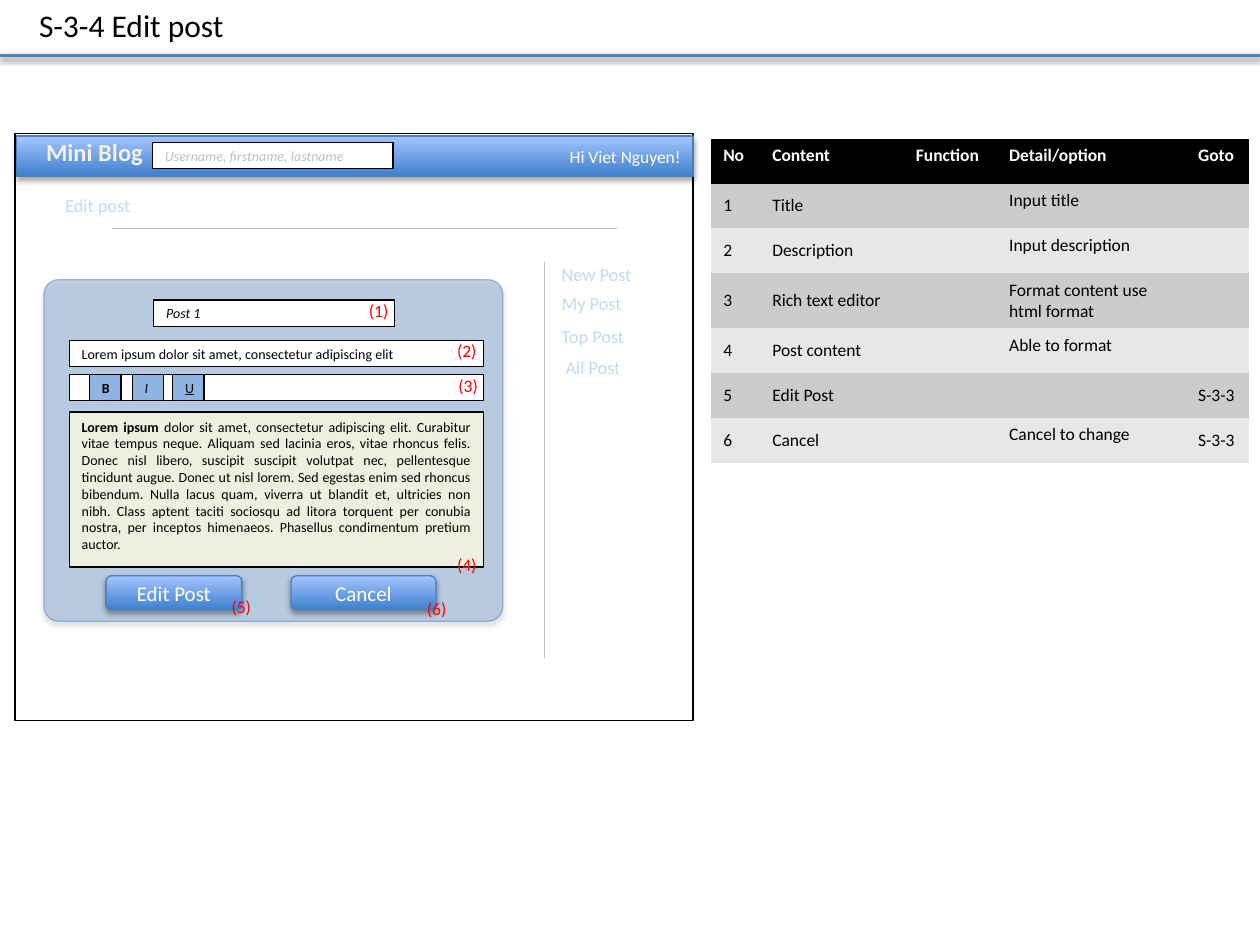
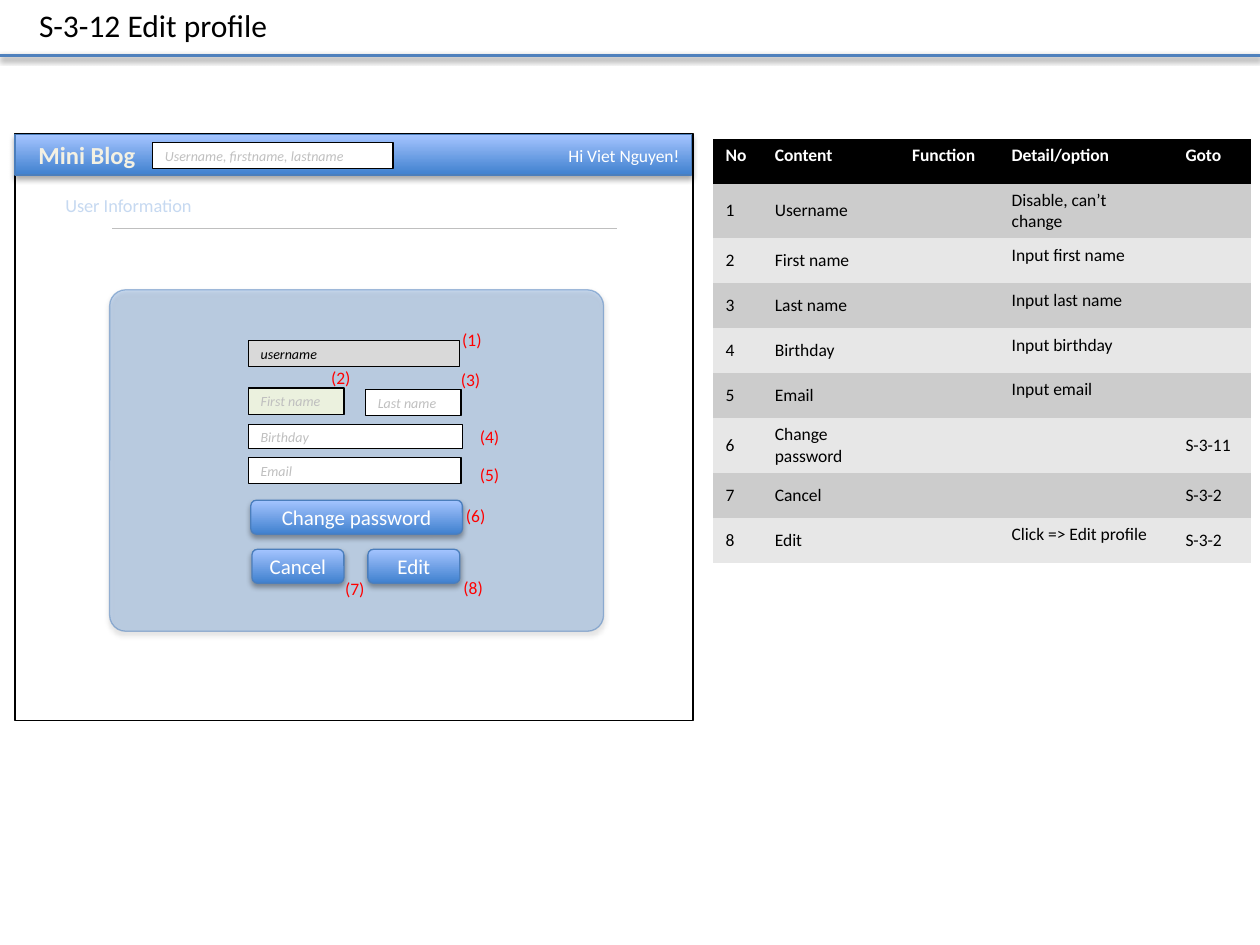
from lxml.etree import SubElement
from pptx import Presentation
from pptx.dml.color import RGBColor
from pptx.enum.shapes import MSO_CONNECTOR, MSO_SHAPE
from pptx.enum.text import MSO_ANCHOR, MSO_AUTO_SIZE, PP_ALIGN
from pptx.oxml import parse_xml
from pptx.oxml.ns import nsdecls, qn
from pptx.util import Inches, Pt

FONT = "Calibri"
COLORS = {
    "black": "000000", "white": "FFFFFF", "rule": "4F81BD", "edge": "4B7EBC",
    "deep": "3F80CE", "light": "A4C4FF", "panel": "558ED5", "hint": "BFBFBF",
    "heading": "C6D9F1", "mark": "FF0000", "brand": "F4F1E3", "outline": "054697",
    "tool": "8EB4E3", "cream": "EBF1DE", "disabled": "D9D9D9",
    "odd": "CCCCCC", "even": "E7E7E7",
}
HEADER = ("No", "Content", "Function", "Detail/option", "Goto")
ROW_HEIGHT = 0.357
SEARCH = ("Username, firstname, lastname", (1.21, 1.13, 1.91, 0.21), "white", "hint", "i")
LOREM = (
    " dolor sit amet, consectetur adipiscing elit. Curabitur vitae tempus neque. "
    "Aliquam sed lacinia eros, vitae rhoncus felis. Donec nisl libero, suscipit suscipit "
    "volutpat nec, pellentesque tincidunt augue. Donec ut nisl lorem. Sed egestas enim sed "
    "rhoncus bibendum. Nulla lacus quam, viverra ut blandit et, ultricies non nibh. Class "
    "aptent taciti sociosqu ad litora torquent per conubia nostra, per inceptos himenaeos. "
    "Phasellus condimentum pretium auctor."
)
POST_BODY = (("Lorem ipsum", "b"), (LOREM, ""))

SCREENS = [
    {
        "title": "S-3-4 Edit post", "title_width": 1.69,
        "heading": "Edit post", "heading_width": 0.73,
        "bar": (0.13, 1.08), "brand": (0.26, 1.04),
        "panel": (0.35, 2.22, 3.64, 2.71), "corner": 0.043,
        "fields": [
            ("Post 1", (1.22, 2.38, 1.91, 0.21), "white", "black", "i"),
            ("Lorem ipsum dolor sit amet, consectetur adipiscing elit",
             (0.55, 2.7, 3.29, 0.21), "white", "black", ""),
            ("", (0.55, 2.97, 3.29, 0.21), "white", "black", ""),
            ("B", (0.71, 2.97, 0.25, 0.21), "tool", "black", "b"),
            ("I", (1.05, 2.97, 0.25, 0.21), "tool", "black", "i"),
            ("U", (1.37, 2.97, 0.25, 0.21), "tool", "black", "u"),
        ],
        "post": (0.55, 3.27, 3.29, 1.23),
        "buttons": [("Cancel", (2.31, 4.57, 1.15)), ("Edit Post", (0.84, 4.57, 1.08))],
        "marks": [(2.83, 2.33), (3.53, 2.65), (3.54, 2.93),
                  (3.53, 4.35), (1.74, 4.68), (3.29, 4.7)],
        "menu": [("New Post", 4.36, 2.04, 0.77), ("My Post", 4.36, 2.27, 0.69),
                 ("Top Post", 4.36, 2.53, 0.72), ("All Post", 4.39, 2.78, 0.65)],
        "table_left": 5.64, "columns": (0.39, 1.14, 0.74, 1.5, 0.5),
        "rows": [
            ("Title", "Input title", ""),
            ("Description", "Input description", ""),
            ("Rich text editor", "Format content use html format", ""),
            ("Post content", "Able to format", ""),
            ("Edit Post", "", "S-3-3"),
            ("Cancel", "Cancel to change", "S-3-3"),
        ],
    },
    {
        "title": "S-3-12 Edit profile", "title_width": 2.03,
        "heading": "User Information", "heading_width": 1.22,
        "bar": (0.12, 1.07), "brand": (0.2, 1.06),
        "panel": (0.87, 2.3, 3.92, 2.71), "corner": 0.047,
        "fields": [
            ("username", (1.97, 2.7, 1.68, 0.21), "disabled", "black", "i"),
            ("First name", (1.97, 3.08, 0.76, 0.21), "cream", "hint", "i"),
            ("Last name", (2.9, 3.09, 0.76, 0.21), "white", "hint", "i"),
            ("Birthday", (1.97, 3.37, 1.7, 0.19), "white", "hint", "i"),
            ("Email", (1.97, 3.63, 1.69, 0.21), "white", "hint", "i"),
        ],
        "post": None,
        "buttons": [("Change password", (1.99, 3.97, 1.68)),
                    ("Cancel", (2, 4.36, 0.73)), ("Edit", (2.92, 4.36, 0.73))],
        "marks": [(3.57, 2.56), (2.53, 2.86), (3.56, 2.88), (3.71, 3.33),
                  (3.71, 3.63), (3.6, 3.96), (2.64, 4.54), (3.58, 4.53)],
        "menu": [],
        "table_left": 5.66, "columns": (0.39, 1.09, 0.79, 1.38, 0.62),
        "rows": [
            ("Username", "Disable, can’t change", ""),
            ("First name", "Input first name", ""),
            ("Last name", "Input last name", ""),
            ("Birthday", "Input birthday", ""),
            ("Email", "Input email", ""),
            ("Change password", "", "S-3-11"),
            ("Cancel", "", "S-3-2"),
            ("Edit", "Click => Edit profile", "S-3-2"),
        ],
    },
]


def rgb(name):
    return RGBColor.from_string(COLORS[name])


def lengths(values):
    return [Inches(value) for value in values]


def add_run(para, text, size, color, style=""):
    span = para.add_run()
    span.text = text
    font = span.font
    font.name, font.size, font.color.rgb = FONT, Pt(size), rgb(color)
    font.bold, font.italic, font.underline = "b" in style, "i" in style, "u" in style
    return span


def set_effects(item, opacity=0, distance=0):
    effects = SubElement(item._element.spPr, qn("a:effectLst"))
    if opacity:
        effects.append(parse_xml(
            f'<a:outerShdw {nsdecls("a")} blurRad="40000" dist="{distance}" dir="5400000" '
            f'rotWithShape="0"><a:srgbClr val="000000"><a:alpha val="{opacity}000"/>'
            '</a:srgbClr></a:outerShdw>'))


def set_alpha(color_format_parent, percent):
    color = color_format_parent.find(qn("a:solidFill")).find(qn("a:srgbClr"))
    SubElement(color, qn("a:alpha"), val=f"{percent}000")


def add_box(page, at, fill, line="black", preset=MSO_SHAPE.RECTANGLE, shadow=False):
    box = page.shapes.add_shape(preset, *lengths(at))
    if fill == "gradient":
        box.fill.gradient()
        box.fill.gradient_angle = 90
        for stop, name in zip(box.fill.gradient_stops, ("deep", "light")):
            stop.color.rgb = rgb(name)
    else:
        box.fill.solid()
        box.fill.fore_color.rgb = rgb(fill)
    box.line.color.rgb, box.line.width = rgb(line), Pt(0.75)
    set_effects(box, 35 if shadow else 0, 23000)
    frame = box.text_frame
    frame.word_wrap, frame.vertical_anchor = True, MSO_ANCHOR.MIDDLE
    frame.paragraphs[0].alignment = PP_ALIGN.LEFT
    return box


def add_field(page, text, at, fill, color, style):
    para = add_box(page, at, fill).text_frame.paragraphs[0]
    if text:
        add_run(para, text, 8, color, style)


def add_gradient_box(page, text, at, size, align, preset):
    box = add_box(page, at, "gradient", "edge", preset, True)
    para = box.text_frame.paragraphs[0]
    para.alignment = align
    add_run(para, text, size, "white")


def fit_label(box, text, size, color, style="", align=PP_ALIGN.LEFT):
    frame = box.text_frame
    frame.word_wrap, frame.auto_size = False, MSO_AUTO_SIZE.SHAPE_TO_FIT_TEXT
    frame.vertical_anchor = MSO_ANCHOR.TOP
    para = frame.paragraphs[0]
    para.alignment = align
    return add_run(para, text, size, color, style)


def add_label(page, at, *text_format):
    return fit_label(page.shapes.add_textbox(*lengths(at)), *text_format)


def add_line(page, ends, color, width):
    line = page.shapes.add_connector(MSO_CONNECTOR.STRAIGHT, *lengths(ends))
    line.line.color.rgb, line.line.width = rgb(color), Pt(width)
    return line


def add_title(page, screen):
    set_effects(add_line(page, (0, 0.44, 10, 0.44), "rule", 2), 38, 20000)
    title = page.shapes.title
    title.left, title.top, title.width, title.height = lengths(
        (0.21, 0, screen["title_width"], 0.4))
    fit_label(title, screen["title"], 18, "black")


def add_window(page, screen):
    add_box(page, (0.12, 1.06, 5.38, 4.66), "white")
    add_gradient_box(page, "Hi Viet Nguyen!", (*screen["bar"], 5.37, 0.32), 10,
                     PP_ALIGN.RIGHT, MSO_SHAPE.RECTANGLE)
    set_effects(add_line(page, (0.89, 1.81, 4.9, 1.81), "hint", 0.25))
    add_label(page, (0.42, 1.49, screen["heading_width"], 0.28),
              screen["heading"], 10.5, "heading")
    add_field(page, *SEARCH)
    brand = add_label(page, (*screen["brand"], 0.98, 0.34),
                      "Mini Blog", 14, "brand", "b", PP_ALIGN.CENTER)
    brand.font._element.insert(0, parse_xml(
        f'<a:ln {nsdecls("a")} w="12700"><a:solidFill>'
        f'<a:srgbClr val="{COLORS["outline"]}"/></a:solidFill></a:ln>'))


def add_form(page, screen):
    panel = add_box(page, screen["panel"], "panel", "edge", MSO_SHAPE.ROUNDED_RECTANGLE, True)
    panel.adjustments[0] = screen["corner"]
    set_alpha(panel._element.spPr, 30)
    set_alpha(panel._element.spPr.find(qn("a:ln")), 50)
    for field in screen["fields"]:
        add_field(page, *field)
    if screen["post"]:
        frame = add_box(page, screen["post"], "cream").text_frame
        frame.vertical_anchor = MSO_ANCHOR.TOP
        frame.paragraphs[0].alignment = PP_ALIGN.JUSTIFY
        for text, style in POST_BODY:
            add_run(frame.paragraphs[0], text, 8, "black", style)
    for text, place in screen["buttons"]:
        add_gradient_box(page, text, (*place, 0.27), 12,
                         PP_ALIGN.CENTER, MSO_SHAPE.ROUNDED_RECTANGLE)
    for number, place in enumerate(screen["marks"], 1):
        add_label(page, (*place, 0.36, 0.27), f"({number})", 10, "mark")


def add_menu(page, items):
    if items:
        set_effects(add_line(page, (4.32, 2.08, 4.32, 5.22), "hint", 0.25))
    for text, left, top, width in items:
        add_label(page, (left, top, width, 0.28), text, 10.5, "heading")


def add_function_table(page, screen):
    rows = [HEADER] + [(str(number), content, "", detail, goto)
                       for number, (content, detail, goto) in enumerate(screen["rows"], 1)]
    columns = screen["columns"]
    at = (screen["table_left"], 1.1, sum(columns), ROW_HEIGHT * len(rows))
    table = page.shapes.add_table(len(rows), len(columns), *lengths(at)).table
    style = table._tbl.tblPr.find(qn("a:tableStyleId"))
    style.text = "{2D5ABB26-0587-4C30-8999-92F81FD0307C}"
    for column, width in zip(table.columns, columns):
        column.width = Inches(width)
    for row_index, row in enumerate(rows):
        table.rows[row_index].height = Inches(ROW_HEIGHT)
        is_header = row_index == 0
        fill = "black" if is_header else ("even", "odd")[row_index % 2]
        for column_index, text in enumerate(row):
            cell = table.cell(row_index, column_index)
            cell.fill.solid()
            cell.fill.fore_color.rgb = rgb(fill)
            top = is_header or HEADER[column_index] == "Detail/option"
            cell.vertical_anchor = MSO_ANCHOR.TOP if top else MSO_ANCHOR.MIDDLE
            para = cell.text_frame.paragraphs[0]
            if text:
                add_run(para, text, 10, "white" if is_header else "black",
                        "b" if is_header else "")
            else:
                SubElement(para._p, qn("a:endParaRPr"), sz="1000")


def build_deck():
    """Build the screen specification slides."""
    deck = Presentation()
    deck.slide_width, deck.slide_height = Inches(10), Inches(7.5)
    for screen in SCREENS:
        page = deck.slides.add_slide(deck.slide_layouts[5])
        add_title(page, screen)
        add_window(page, screen)
        add_function_table(page, screen)
        add_menu(page, screen["menu"])
        add_form(page, screen)
    deck.save("out.pptx")


build_deck()
